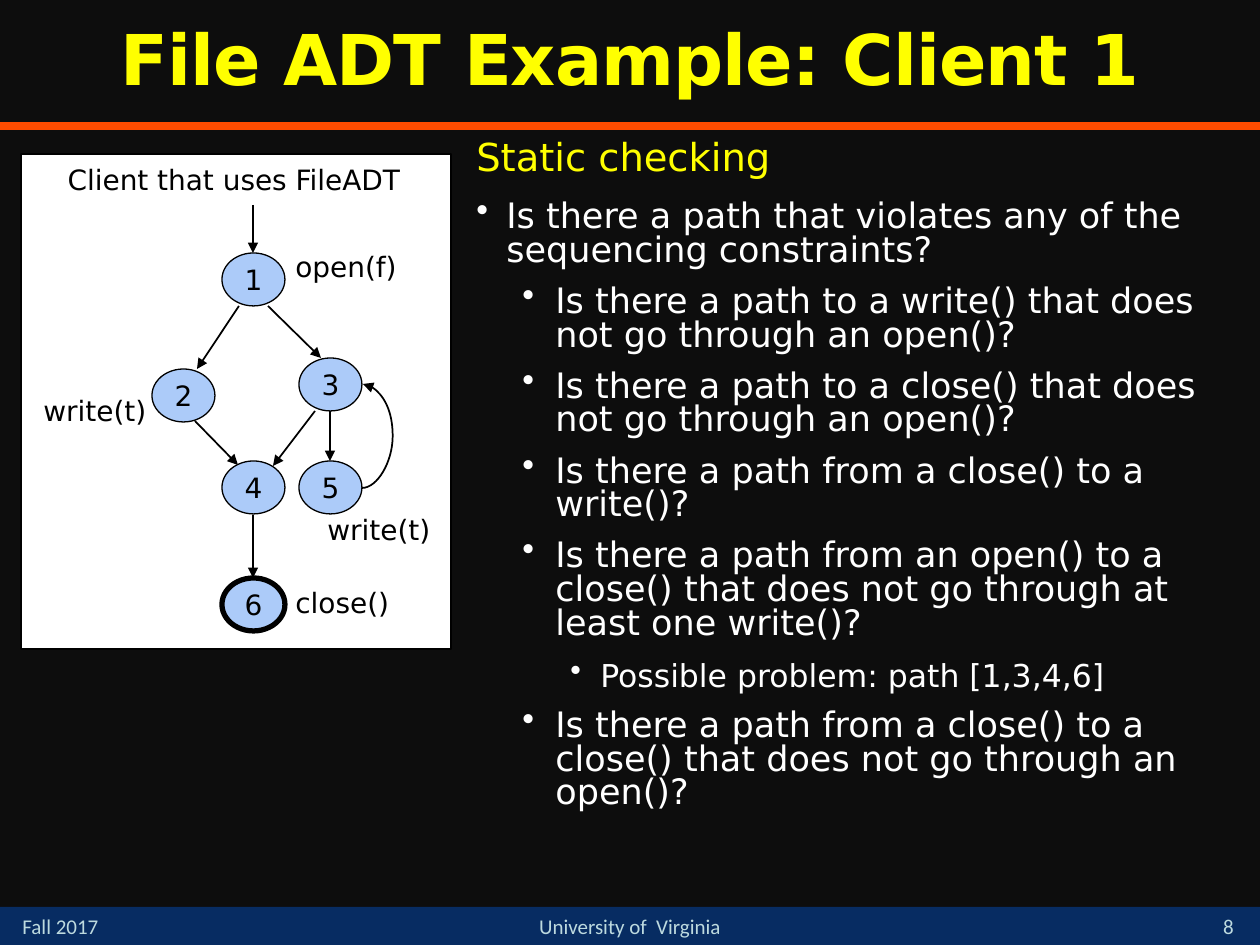
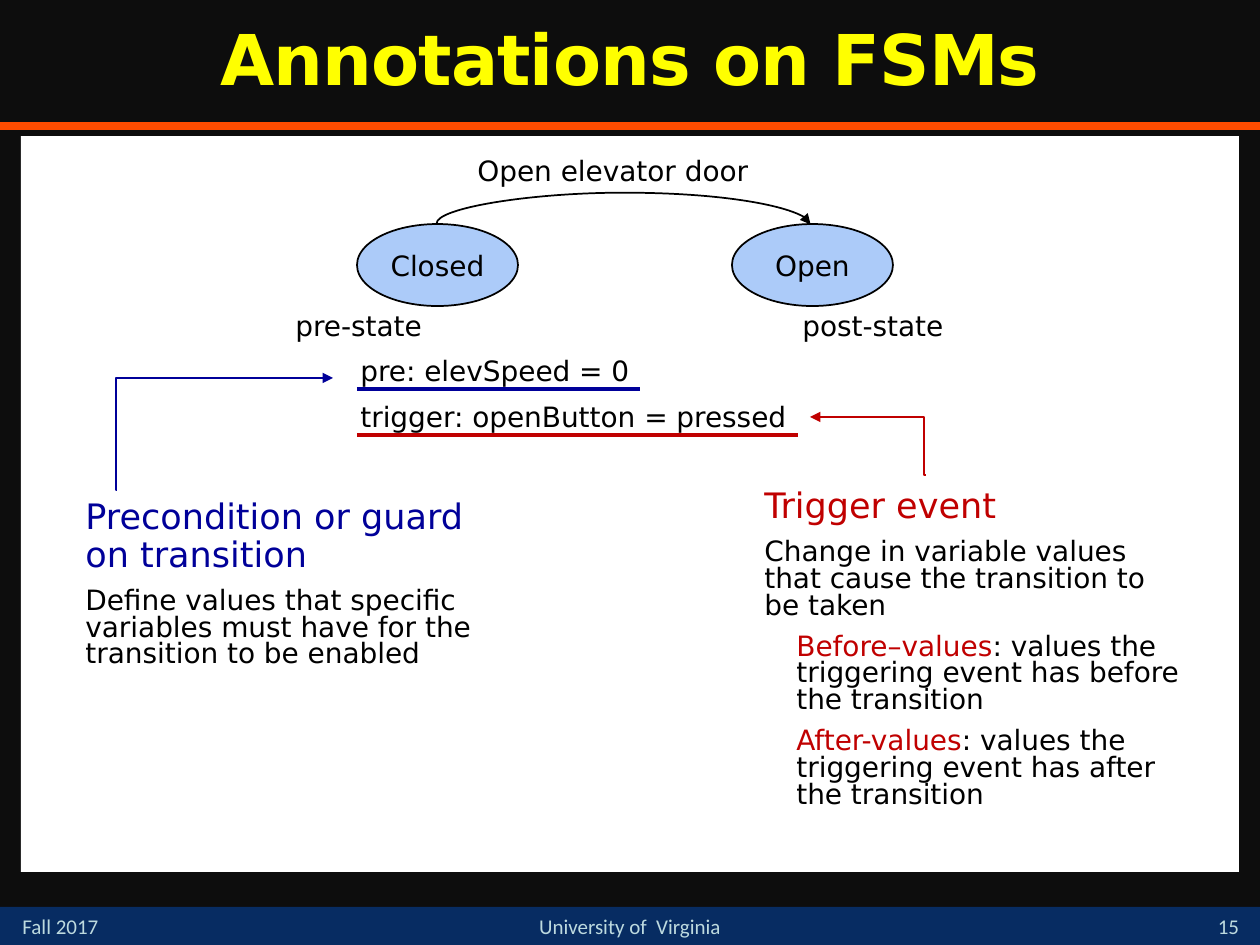
from typing import NamedTuple, Optional

from lxml import etree
from pptx import Presentation
from pptx import util as u
from pptx.dml import color
from pptx.enum import shapes, text
from pptx.oxml import ns

SCALE = u.Inches(1) / 126
WIDTH, HEIGHT = 1260, 945

FONT = "DejaVu Sans"
FOOTER_FONT = "Calibri"
BACKGROUND, WHITE, BLACK = "0D0D0D", "FFFFFF", "000000"
YELLOW, ORANGE = "FFFF00", "FF4C00"
FOOTER_BAND, FOOTER_TEXT = "072C62", "BDDADF"
STATE_FILL, GUARD_BLUE, TRIGGER_RED = "ACCBF9", "000099", "C00000"

LEFT, CENTER = text.PP_ALIGN.LEFT, text.PP_ALIGN.CENTER
TOP, MIDDLE, BOTTOM = text.MSO_ANCHOR.TOP, text.MSO_ANCHOR.MIDDLE, text.MSO_ANCHOR.BOTTOM
RECTANGLE, OVAL = shapes.MSO_SHAPE.RECTANGLE, shapes.MSO_SHAPE.OVAL
STRAIGHT, ELBOW, CURVE = (
    shapes.MSO_CONNECTOR.STRAIGHT, shapes.MSO_CONNECTOR.ELBOW, shapes.MSO_CONNECTOR.CURVE)


class Box(NamedTuple):
    left: int
    top: int
    width: int
    height: int


class Para(NamedTuple):
    words: str
    size: int = 16
    color: str = BLACK
    align: text.PP_ALIGN = LEFT
    spacing: float = 1.0
    before: int = 0
    after: int = 0
    margin: int = 0
    hanging: int = 0
    lead: str = ""
    lead_color: str = TRIGGER_RED
    font: str = FONT
    bold: bool = False


class Link(NamedTuple):
    begin: tuple[int, int]
    end: tuple[int, int]
    color: str = BLACK
    weight: float = 1
    arrow: bool = True
    kind: shapes.MSO_CONNECTOR = STRAIGHT
    bend: int = 0
    turn: int = 0


class State(NamedTuple):
    label: str
    box: Box
    weight: float = 1


def px(length: float) -> u.Emu:
    return u.Emu(round(length * SCALE))


def rgb(value: str) -> color.RGBColor:
    return color.RGBColor.from_string(value)


def place(shape, box: Box) -> None:
    shape.left, shape.top, shape.width, shape.height = map(px, box)


def write_paragraph(paragraph, para: Para) -> None:
    properties = paragraph._p.get_or_add_pPr()
    if para.margin:
        properties.set("marL", str(px(para.margin)))
        properties.set("indent", str(px(-para.hanging)))
    if para.hanging:
        bullet_color = etree.SubElement(properties, ns.qn("a:buClr"))
        etree.SubElement(bullet_color, ns.qn("a:srgbClr"), val=para.color)
        etree.SubElement(properties, ns.qn("a:buChar"), char="•")
    paragraph.alignment = para.align
    paragraph.line_spacing = para.spacing
    paragraph.space_before = u.Pt(para.before)
    paragraph.space_after = u.Pt(para.after)
    font = paragraph.font
    font.name, font.size, font.bold = para.font, u.Pt(para.size), para.bold
    font.color.rgb = rgb(para.color)
    if para.lead:
        run = paragraph.add_run()
        run.text = para.lead
        run.font.color.rgb = rgb(para.lead_color)
    paragraph.add_run().text = para.words


def fill_text(shape, paras: list[Para], anchor=TOP, margin: Optional[int] = None) -> None:
    frame = shape.text_frame
    frame.word_wrap = True
    frame.auto_size = text.MSO_AUTO_SIZE.NONE
    frame.vertical_anchor = anchor
    if margin is not None:
        frame.margin_left = frame.margin_right = px(margin)
        frame.margin_top = frame.margin_bottom = px(margin)
    for index, para in enumerate(paras):
        write_paragraph(frame.add_paragraph() if index else frame.paragraphs[0], para)


def add_text(slide, box: Box, *paras: Para, anchor=TOP) -> None:
    fill_text(slide.shapes.add_textbox(*map(px, box)), list(paras), anchor)


def add_panel(slide, kind, box: Box, fill: str, weight: float = 0):
    shape = slide.shapes.add_shape(kind, *map(px, box))
    shape.shadow.inherit = False
    shape.fill.solid()
    shape.fill.fore_color.rgb = rgb(fill)
    if weight:
        shape.line.color.rgb = rgb(BLACK)
        shape.line.width = u.Pt(weight)
    else:
        shape.line.fill.background()
    return shape


def add_state(slide, state: State) -> None:
    oval = add_panel(slide, OVAL, state.box, STATE_FILL, state.weight)
    fill_text(oval, [Para(state.label, align=CENTER)], MIDDLE, margin=0)


def add_link(slide, link: Link) -> None:
    connector = slide.shapes.add_connector(link.kind, *map(px, link.begin + link.end))
    connector.line.color.rgb = rgb(link.color)
    connector.line.width = u.Pt(link.weight)
    properties = connector._element.spPr
    if link.arrow:
        etree.SubElement(connector.get_or_add_ln(), ns.qn("a:tailEnd"), type="triangle")
    if link.bend:
        share = round(100000 * link.bend / abs(link.end[0] - link.begin[0]))
        adjustments = properties.find(".//" + ns.qn("a:avLst"))
        etree.SubElement(adjustments, ns.qn("a:gd"), name="adj1", fmla=f"val {share}")
    if link.turn:
        properties.find(ns.qn("a:xfrm")).set("rot", str(link.turn * 60000))
    etree.SubElement(properties, ns.qn("a:effectLst"))


def add_slide(presentation, title: str, number: int):
    slide = presentation.slides.add_slide(presentation.slide_layouts[5])
    add_panel(slide, RECTANGLE, Box(0, 907, WIDTH, 38), FOOTER_BAND)
    add_link(slide, Link((0, 126), (WIDTH, 126), ORANGE, 4.5, arrow=False))
    footers = [
        ("Fall 2017", Box(10, 907, 147, 38), LEFT, TOP),
        (str(number), Box(1197, 903, 63, 42), CENTER, BOTTOM),
        ("University of  Virginia", Box(462, 907, 336, 38), CENTER, TOP),
    ]
    for words, box, align, anchor in footers:
        add_text(slide, box, Para(words, 12, FOOTER_TEXT, align, font=FOOTER_FONT), anchor=anchor)
    heading = slide.shapes.title
    place(heading, Box(0, 0, WIDTH, 126))
    fill_text(heading, [Para(title, 40, YELLOW, CENTER, 0.9, bold=True)], MIDDLE)
    heading.text_frame.paragraphs[0].runs[0]._r.get_or_add_rPr().set("spc", "-50")
    return slide


def question(words: str) -> Para:
    return Para(words, 20, WHITE, spacing=0.8, before=7, after=3, margin=81, hanging=33)


def detail(words: str, lead: str = "") -> Para:
    return Para(words, spacing=0.8, before=8, margin=32 if lead else 0, lead=lead)


def build_client_slide(presentation) -> None:
    slide = add_slide(presentation, "File ADT Example: Client 1", 8)
    add_text(
        slide, Box(462, 136, 798, 746),
        Para("Static checking", 22, YELLOW, spacing=0.8, after=3, margin=2),
        Para("Is there a path that violates any of the sequencing constraints?", 20, WHITE,
             spacing=0.8, before=10, after=3, margin=32, hanging=30),
        question("Is there a path to a write() that does not go through an open()?"),
        question("Is there a path to a close() that does not go through an open()?"),
        question("Is there a path from a close() to a write()?"),
        question("Is there a path from an open() to a close() that does not go through "
                 "at least one write()?"),
        Para("Possible problem: path [1,3,4,6]", 18, WHITE,
             spacing=0.8, before=9, after=3, margin=126, hanging=30),
        question("Is there a path from a close() to a close() that does not go through "
                 "an open()?"),
    )
    add_panel(slide, RECTANGLE, Box(21, 154, 430, 495), WHITE, 1)
    corners = [(222, 253), (152, 369), (299, 358), (222, 461), (299, 461), (222, 578)]
    for number, corner in enumerate(corners, 1):
        weight = 3 if number == len(corners) else 0.75
        add_state(slide, State(str(number), Box(*corner, 63, 53), weight))
    links = [
        Link((253, 205), (253, 253)),
        Link((239, 306), (197, 369)),
        Link((268, 306), (321, 358)),
        Link((195, 421), (238, 465)),
        Link((315, 411), (273, 466)),
        Link((330, 411), (330, 461)),
        Link((253, 515), (253, 578)),
        Link((362, 488), (363, 384), kind=CURVE, bend=31),
    ]
    for link in links:
        add_link(slide, link)
    calls = [("open(f)", 283, 243), ("write(t)", 31, 387), ("write(t)", 315, 506),
             ("close()", 283, 579)]
    for call, left, top in calls:
        add_text(slide, Box(left, top, 147, 47), Para(call))
    add_text(slide, Box(44, 156, 380, 47), Para("Client that uses FileADT", align=CENTER))


def build_annotations_slide(presentation) -> None:
    slide = add_slide(presentation, "Annotations on FSMs", 15)
    add_panel(slide, RECTANGLE, Box(21, 136, 1218, 736), WHITE)
    for label, left in [("Closed", 357), ("Open", 732)]:
        add_state(slide, State(label, Box(left, 224, 161, 82)))
    links = [
        Link((624, 37), (623, 411), kind=CURVE, bend=-31, turn=270),
        Link((357, 389), (640, 389), GUARD_BLUE, 2.25, arrow=False),
        Link((357, 435), (798, 435), TRIGGER_RED, 2.25, arrow=False),
        Link((117, 490), (333, 378), GUARD_BLUE, 1.5, kind=ELBOW, bend=-1),
        Link((926, 475), (810, 417), TRIGGER_RED, 1.5, kind=ELBOW, bend=2),
    ]
    for link in links:
        add_link(slide, link)
    labels = [
        ("Open elevator door", Box(462, 147, 302, 47), CENTER),
        ("pre: elevSpeed = 0", Box(348, 347, 347, 47), LEFT),
        ("trigger: openButton = pressed", Box(348, 393, 490, 47), LEFT),
        ("pre-state", Box(283, 302, 180, 47), LEFT),
        ("post-state", Box(790, 302, 180, 47), LEFT),
    ]
    for words, box, align in labels:
        add_text(slide, box, Para(words, align=align))
    add_text(
        slide, Box(73, 493, 416, 188),
        Para("Precondition or guard on transition", 20, GUARD_BLUE, spacing=0.9),
        detail("Define values that specific variables must have for the transition "
               "to be enabled"),
    )
    add_text(
        slide, Box(752, 482, 445, 390),
        Para("Trigger event", 20, TRIGGER_RED, spacing=0.9),
        detail("Change in variable values that cause the transition to be taken"),
        detail(": values the triggering event has before the transition", "Before–values"),
        detail(": values the triggering event has after the transition", "After-values"),
    )


def main() -> None:
    presentation = Presentation()
    presentation.slide_width, presentation.slide_height = px(WIDTH), px(HEIGHT)
    background = presentation.slide_master.background.fill
    background.solid()
    background.fore_color.rgb = rgb(BACKGROUND)
    build_client_slide(presentation)
    build_annotations_slide(presentation)
    presentation.save("out.pptx")


if __name__ == "__main__":
    main()
